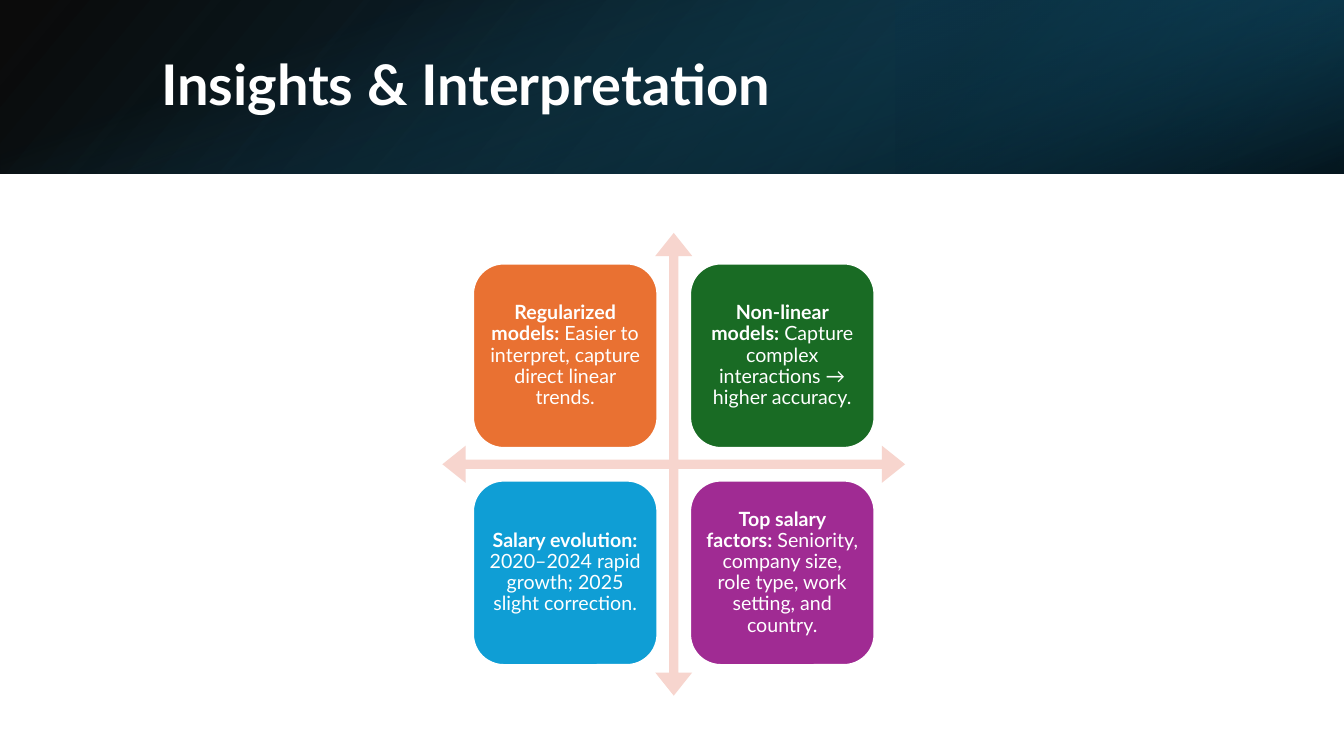
from dataclasses import dataclass
from typing import Any, NamedTuple

from lxml.etree import SubElement
from pptx import Presentation
from pptx.dml.color import RGBColor
from pptx.enum.shapes import MSO_SHAPE
from pptx.enum.text import MSO_ANCHOR, PP_ALIGN
from pptx.oxml.ns import qn
from pptx.util import Cm, Pt


@dataclass(frozen=True)
class Theme:
    """Colours, font and type sizes of the slide."""
    font: str = "Lato"
    white: str = "FFFFFF"
    black: str = "000000"
    navy: str = "104862"
    deep: str = "0B3041"
    teal: str = "156082"
    pink: str = "F7D5CE"
    orange: str = "E97132"
    green: str = "196B24"
    blue: str = "0F9ED5"
    purple: str = "A02B93"
    head: int = 40
    body: int = 14


class Box(NamedTuple):
    """Left, top, width and height in centimetres."""
    left: float
    top: float
    width: float
    height: float


class Stop(NamedTuple):
    """Gradient stop: place and opacity in percent, and colour."""
    place: int
    colour: str
    alpha: int


class Band(NamedTuple):
    """One gradient layer of the header."""
    box: Box
    stops: tuple[Stop, Stop]
    angle: int
    turn: int
    flip: bool


class Tile(NamedTuple):
    """One quadrant with a bold lead and a plain rest."""
    colour: str
    lead: str
    rest: str


THEME = Theme()
WIDE, HIGH, HEAD = 33.87, 19.05, 4.38
CROSS = Box(11.15, 5.87, 11.66, 11.66)
SIDE, STEP, INSET = 4.65, 5.47, 0.14
EDGE = (CROSS.width - SIDE - STEP) / 2

BANDS = (
    Band(Box(0, 0, WIDE, HEAD),
         (Stop(0, THEME.black, 96), Stop(100, THEME.navy, 100)), 140, 0, True),
    Band(Box(WIDE * 2 / 3, 0, WIDE / 3, HEAD),
         (Stop(19, THEME.deep, 68), Stop(100, THEME.teal, 79)), 320, 180, True),
    Band(Box((WIDE - HEAD) / 2, (HEAD - WIDE) / 2, HEAD, WIDE),
         (Stop(23, THEME.teal, 0), Stop(99, THEME.black, 74)), 340, 90, False),
)
TILES = (
    Tile(THEME.orange, "Regularized models:", " Easier to interpret, capture direct linear trends."),
    Tile(THEME.green, "Non-linear models:", " Capture complex interactions → higher accuracy."),
    Tile(THEME.blue, "Salary evolution:", " 2020–2024 rapid growth; 2025 slight correction."),
    Tile(THEME.purple, "Top salary factors:",
         " Seniority, company size, role type, work setting, and country."),
)


def place(box: Box) -> tuple[Cm, ...]:
    """Turn a box into slide lengths."""
    return tuple(Cm(value) for value in box)


def add_form(slide: Any, kind: MSO_SHAPE, box: Box) -> Any:
    """Add a preset shape with no shadow and no line."""
    form = slide.shapes.add_shape(kind, *place(box))
    form.shadow.inherit = False
    form.line.fill.background()
    return form


def paint(form: Any, colour: str) -> None:
    """Fill a shape with one colour."""
    form.fill.solid()
    form.fill.fore_color.rgb = RGBColor.from_string(colour)


def write(frame: Any, lead: str, *, rest: str = "", size: int = THEME.body,
          align: PP_ALIGN = PP_ALIGN.LEFT, colour: str = THEME.white) -> None:
    """Write a bold lead and a plain rest as one paragraph."""
    frame.word_wrap = True
    frame.vertical_anchor = MSO_ANCHOR.MIDDLE
    para = frame.paragraphs[0]
    para.alignment = align
    para.line_spacing = 0.9
    for text, bold in ((lead, True), (rest, False)):
        if text:
            run = para.add_run()
            run.text = text
            run.font.name = THEME.font
            run.font.size = Pt(size)
            run.font.bold = bold
            run.font.color.rgb = RGBColor.from_string(colour)


def add_band(slide: Any, band: Band) -> None:
    """Add a header layer with a see-through gradient."""
    form = add_form(slide, MSO_SHAPE.RECTANGLE, band.box)
    form.rotation = band.turn
    if band.flip:
        form.element.spPr.find(qn("a:xfrm")).set("flipH", "1")
    form.fill.gradient()
    form.fill.gradient_angle = 360 - band.angle
    for mark, stop in zip(form.fill.gradient_stops, band.stops):
        mark.position = stop.place / 100
        mark.color.rgb = RGBColor.from_string(stop.colour)
    inks = form.element.spPr.find(qn("a:gradFill")).iter(qn("a:srgbClr"))
    for ink, stop in zip(inks, band.stops):
        SubElement(ink, qn("a:alpha")).set("val", str(stop.alpha * 1000))


def add_cross(slide: Any) -> None:
    """Add the four-way arrow behind the tiles."""
    form = add_form(slide, MSO_SHAPE.QUAD_ARROW, CROSS)
    paint(form, THEME.pink)
    for index, value in enumerate((0.02, 0.04, 0.05)):
        form.adjustments[index] = value


def add_tile(slide: Any, index: int, tile: Tile) -> None:
    """Add a rounded tile in its place on the two-by-two grid."""
    row, col = divmod(index, 2)
    box = Box(CROSS.left + EDGE + col * STEP, CROSS.top + EDGE + row * STEP, SIDE, SIDE)
    form = add_form(slide, MSO_SHAPE.ROUNDED_RECTANGLE, box)
    paint(form, tile.colour)
    form.line.color.rgb = RGBColor.from_string(THEME.white)
    form.line.width = Pt(1.5)
    frame = form.text_frame
    frame.margin_left = frame.margin_right = Cm(INSET)
    frame.margin_top = frame.margin_bottom = Cm(INSET)
    write(frame, tile.lead, rest=tile.rest, align=PP_ALIGN.CENTER)


def main() -> None:
    """Build the slide and save it."""
    deck = Presentation()
    deck.slide_width, deck.slide_height = Cm(WIDE), Cm(HIGH)
    slide = deck.slides.add_slide(deck.slide_layouts[6])
    for band in BANDS:
        add_band(slide, band)
    title = slide.shapes.add_textbox(*place(Box(3.81, 0.97, 27.89, 2.44)))
    write(title.text_frame, "Insights & Interpretation", size=THEME.head)
    add_cross(slide)
    for index, tile in enumerate(TILES):
        add_tile(slide, index, tile)
    deck.save("out.pptx")


if __name__ == "__main__":
    main()
